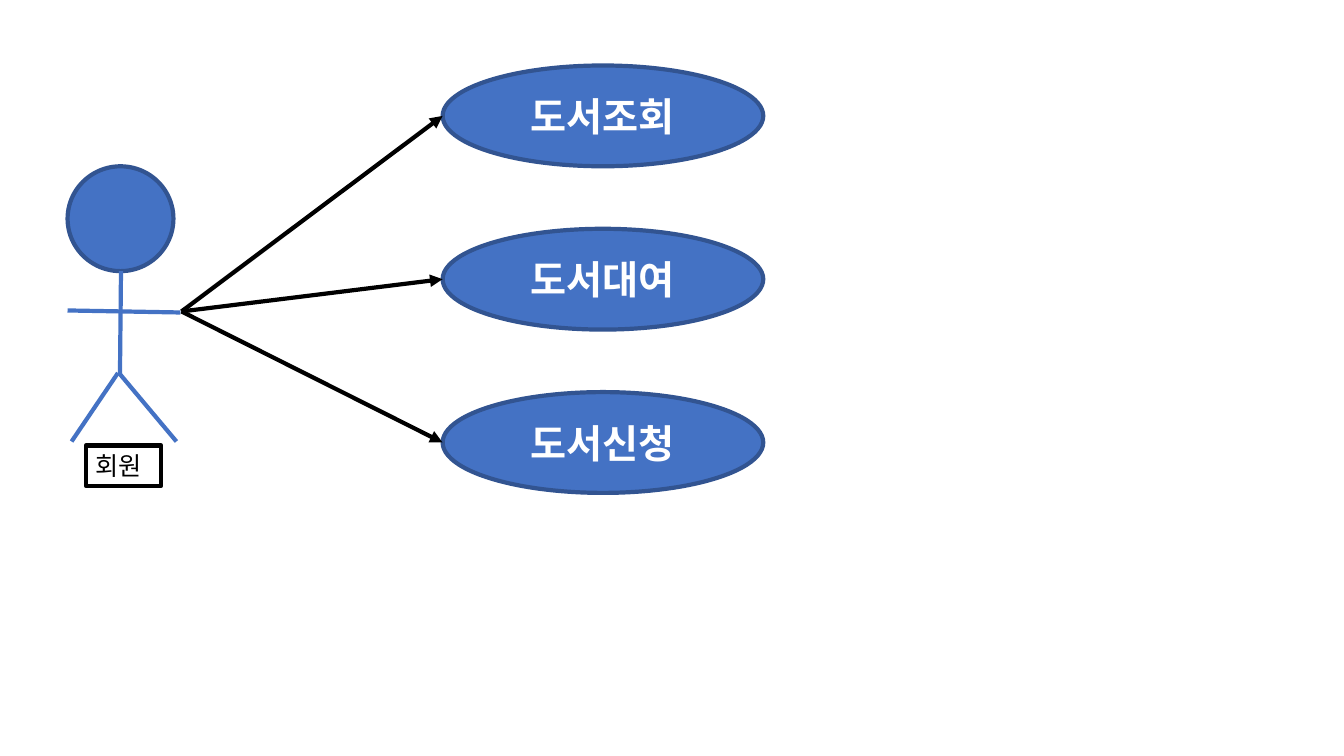
from lxml.etree import SubElement
from pptx import Presentation
from pptx.dml.color import RGBColor
from pptx.enum.shapes import MSO_CONNECTOR, MSO_SHAPE
from pptx.enum.text import MSO_ANCHOR, MSO_AUTO_SIZE, PP_ALIGN
from pptx.oxml.ns import qn
from pptx.util import Inches, Pt

BLUE = RGBColor(0x44, 0x72, 0xC4)
DARK_BLUE = RGBColor(0x32, 0x54, 0x91)
BLACK = RGBColor(0, 0, 0)
WHITE = RGBColor(0xFF, 0xFF, 0xFF)


class UseCaseSlide:
    font = "Noto Sans CJK KR"
    stroke = Pt(3)

    def __init__(self, slide):
        self.shapes = slide.shapes

    def add_text(self, frame, text, size, color, bold=False):
        run = frame.paragraphs[0].add_run()
        run.text = text
        run.font.name = self.font
        run.font.size = Pt(size)
        run.font.bold = bold
        run.font.color.rgb = color
        SubElement(run.font._element, qn("a:ea")).set("typeface", self.font)

    def ellipse(self, shapes, left, top, width, height, text=None):
        oval = shapes.add_shape(MSO_SHAPE.OVAL, Inches(left), Inches(top),
                                Inches(width), Inches(height))
        oval.shadow.inherit = False
        oval.fill.solid()
        oval.fill.fore_color.rgb = BLUE
        oval.line.color.rgb = DARK_BLUE
        oval.line.width = self.stroke
        if text:
            frame = oval.text_frame
            frame.vertical_anchor = MSO_ANCHOR.MIDDLE
            frame.paragraphs[0].alignment = PP_ALIGN.CENTER
            self.add_text(frame, text, 28, WHITE, bold=True)

    def line(self, shapes, start, end, color, arrow=False):
        connector = shapes.add_connector(MSO_CONNECTOR.STRAIGHT,
                                         *map(Inches, start + end))
        connector.line.color.rgb = color
        connector.line.width = self.stroke
        properties = connector._element.spPr
        if arrow:
            SubElement(properties.find(qn("a:ln")), qn("a:tailEnd")).set("type", "triangle")
        SubElement(properties, qn("a:effectLst"))

    def label(self, shapes, left, top, width, height, text):
        box = shapes.add_textbox(Inches(left), Inches(top),
                                 Inches(width), Inches(height))
        box.line.color.rgb = BLACK
        box.line.width = self.stroke
        box.text_frame.word_wrap = True
        box.text_frame.auto_size = MSO_AUTO_SIZE.SHAPE_TO_FIT_TEXT
        self.add_text(box.text_frame, text, 18, BLACK)

    def member(self, name):
        figure = self.shapes.add_group_shape().shapes
        self.ellipse(figure, 0.67, 1.65, 1.05, 1.04)
        limbs = [
            ((1.2, 2.69), (1.19, 3.72)),
            ((1.79, 3.1), (0.67, 3.08)),
            ((1.18, 3.7), (1.75, 4.38)),
            ((1.17, 3.7), (0.71, 4.38)),
        ]
        for start, end in limbs:
            self.line(figure, start, end, BLUE)
        self.label(figure, 0.85, 4.42, 0.75, 0.4, name)


presentation = Presentation()
presentation.slide_width = Inches(13.33)
presentation.slide_height = Inches(7.5)
diagram = UseCaseSlide(presentation.slides.add_slide(presentation.slide_layouts[6]))

USE_CASES = ["도서조회", "도서대여", "도서신청"]
CASE_LEFT, CASE_TOP, CASE_WIDTH, CASE_HEIGHT, CASE_STEP = 4.39, 0.65, 3.18, 1, 1.62
HAND = (1.8, 3.09)

case_tops = [CASE_TOP + CASE_STEP * row for row in range(len(USE_CASES))]
for use_case, top in zip(USE_CASES, case_tops):
    diagram.ellipse(diagram.shapes, CASE_LEFT, top, CASE_WIDTH, CASE_HEIGHT, use_case)
diagram.member("회원")
for top in case_tops:
    diagram.line(diagram.shapes, HAND, (CASE_LEFT, top + CASE_HEIGHT / 2), BLACK, arrow=True)

presentation.save("out.pptx")
